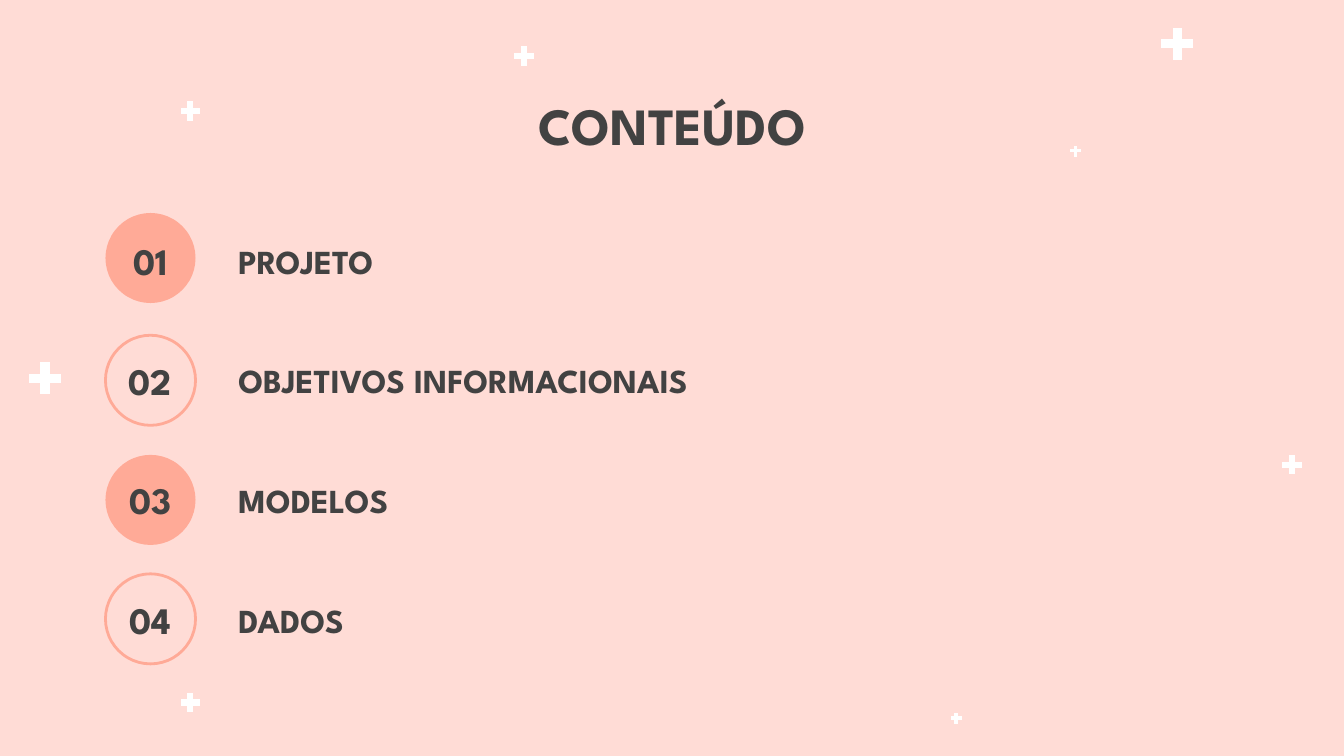
from pptx import Presentation
from pptx.dml.color import RGBColor
from pptx.enum.shapes import MSO_SHAPE
from pptx.enum.text import MSO_ANCHOR, PP_ALIGN
from pptx.util import Pt

PX = 4572  # 200 px to the inch
FONT = "League Spartan"
PINK = RGBColor(0xFF, 0xDC, 0xD6)
CORAL = RGBColor(0xFF, 0xAA, 0x97)
WHITE = RGBColor(0xFF, 0xFF, 0xFF)
DARK = RGBColor(0x42, 0x42, 0x42)
OVAL = MSO_SHAPE.OVAL
LEFT, CENTER = PP_ALIGN.LEFT, PP_ALIGN.CENTER
TOP, MIDDLE = MSO_ANCHOR.TOP, MSO_ANCHOR.MIDDLE

prs = Presentation()
prs.slide_width, prs.slide_height = 2000 * PX, 1125 * PX
s = prs.slides.add_slide(prs.slide_layouts[6])
s.background.fill.solid()
s.background.fill.fore_color.rgb = PINK


def add_bar(x, y, w, h):
    builder = s.shapes.build_freeform(x + w, y, scale=PX)
    builder.add_line_segments([(x + w, y + h), (x, y + h), (x, y)], close=True)
    sp = builder.convert_to_shape()
    sp.shadow.inherit = False
    sp.fill.solid()
    sp.fill.fore_color.rgb = WHITE
    sp.line.fill.background()


def add_text(text, x, y, w, h, size, align, anchor):
    tf = s.shapes.add_textbox(x * PX, y * PX, w * PX, h * PX).text_frame
    tf.word_wrap = True
    tf.vertical_anchor = anchor
    tf.margin_left = tf.margin_right = tf.margin_top = tf.margin_bottom = 20 * PX
    p = tf.paragraphs[0]
    p.text = text
    p.alignment = align
    p.font.name = FONT
    p.font.size = Pt(size)
    p.font.bold = True
    p.font.color.rgb = DARK


# Scattered white crosses of two bars: left, top, size, bar thickness
crosses = [
    (1728, 41, 48, 14),
    (269, 151, 29, 9),
    (765, 69, 29, 9),
    (1593, 217, 16, 5),
    (43, 539, 48, 14),
    (1908, 677, 29, 9),
    (1415, 1061, 16, 5),
    (269, 1031, 29, 9),
]
for x, y, size, bar in crosses:
    inset = (size - bar) // 2
    add_bar(x + inset, y, bar, size)
    add_bar(x, y + inset, size, bar)

# Title
add_text("CONTEÚDO", 156, 119, 1688, 126, 28, CENTER, TOP)

# Numbered topics: circle top, label width, label
topics = [
    (317, 1144, "PROJETO"),
    (499, 1144, "OBJETIVOS INFORMACIONAIS"),
    (677, 1036, "MODELOS"),
    (854, 1036, "DADOS"),
]
for i, (circle_y, label_w, label) in enumerate(topics):
    sp = s.shapes.add_shape(OVAL, 157 * PX, circle_y * PX, 134 * PX, 134 * PX)
    sp.shadow.inherit = False
    if i % 2 == 0:
        sp.fill.solid()
        sp.fill.fore_color.rgb = CORAL
        sp.line.fill.background()
    else:
        sp.fill.background()
        sp.line.color.rgb = CORAL
        sp.line.width = Pt(1.5)
    y = 346 + 178 * i
    add_text(f"{i + 1:02d}", 157, y, 134, 84, 20, CENTER, MIDDLE)
    add_text(label, 335, y, label_w, 84, 18, LEFT, MIDDLE)

prs.save("out.pptx")
